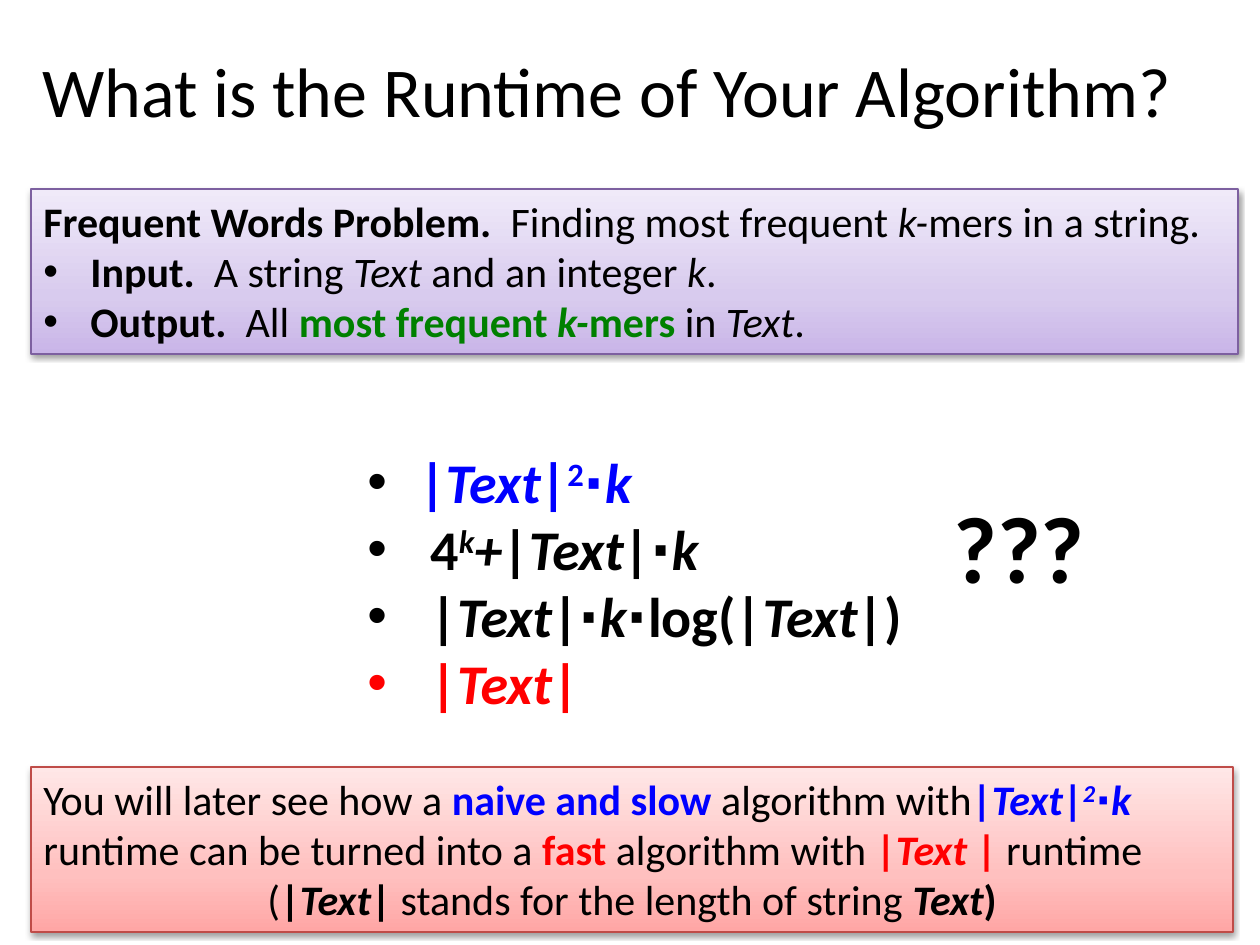
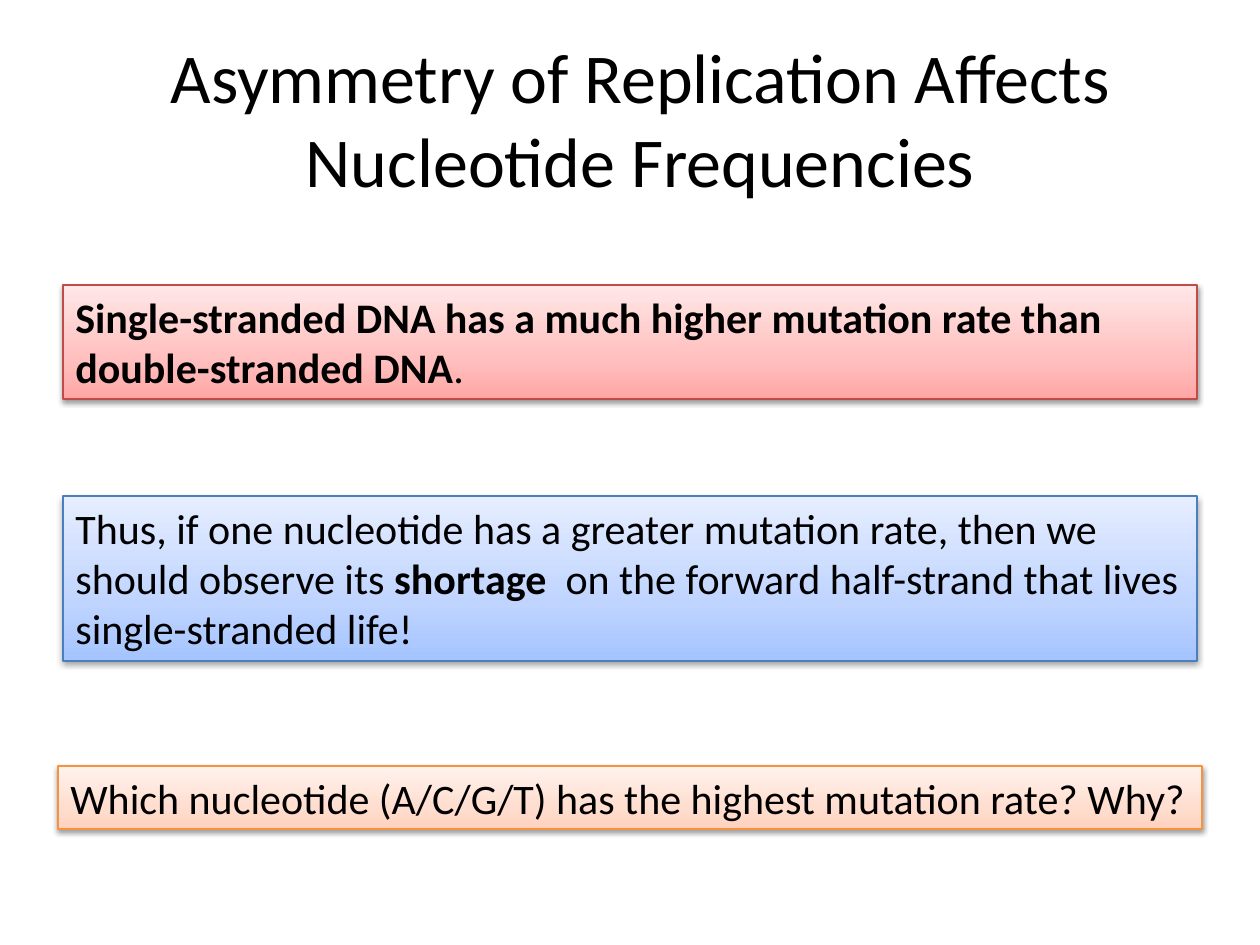
from lxml import etree
from pptx import Presentation
from pptx import util as u
from pptx.dml.color import RGBColor
from pptx.enum import shapes, text
from pptx.oxml import ns, parse_xml

PX_PER_INCH = 126
FONT = "Calibri"
BLACK, BLUE, RED, GREEN = "000000", "0000FF", "FF0000", "008000"
TITLE_SIZE, BODY_SIZE, FORMULA_SIZE, QUESTION_SIZE = 40, 24, 32, 54
INSET = 13
CENTER = text.PP_ALIGN.CENTER

# Border, then gradient from bottom to top
PINK = ("BF4C48", "FFA6A5", "FFC0BF", "FFE7E7")
PURPLE = ("7D60A0", "C9B5E8", "D8CBEE", "F0EAF9")
SKY = ("4B7EBC", "A4C4FF", "BFD4FF", "E6EEFF")
ORANGE = ("F69240", "FFD2BD", "FFDED0", "FFF2ED")
STOPS = (0, 35000, 100000)
SHADOW = (
    f'<a:effectLst {ns.nsdecls("a")}>'
    '<a:outerShdw blurRad="40000" dist="20000" dir="5400000" rotWithShape="0">'
    '<a:srgbClr val="000000"><a:alpha val="38000"/></a:srgbClr>'
    '</a:outerShdw></a:effectLst>'
)


def px(length):
    return u.Inches(length / PX_PER_INCH)


def color(value):
    return RGBColor.from_string(value)


def line(*runs, align=text.PP_ALIGN.LEFT, indent=0):
    """Describe a paragraph; an indent gives it a bullet."""
    return {"runs": runs, "align": align, "indent": indent}


def length_of_text(shade=BLACK, word="Text"):
    """Runs for the bold formula |Text|."""
    return ("|", "b", shade), (word, "bi", shade), ("|", "b", shade)


def add_bullet(paragraph, indent):
    properties = paragraph._p.get_or_add_pPr()
    properties.set("marL", str(px(indent)))
    properties.set("indent", str(-px(indent)))
    font = etree.SubElement(properties, ns.qn("a:buFont"))
    font.set("typeface", "Arial")
    bullet = etree.SubElement(properties, ns.qn("a:buChar"))
    bullet.set("char", "•")


def add_run(paragraph, size, content, style="", shade=BLACK):
    """Style letters: b bold, i italic, ^ superscript."""
    run = paragraph.add_run()
    run.text = content
    values = {"name": FONT, "size": u.Pt(size), "bold": "b" in style, "italic": "i" in style}
    for name, value in values.items():
        setattr(run.font, name, value)
    run.font.color.rgb = color(shade)
    if "^" in style:
        run._r.get_or_add_rPr().set("baseline", "30000")


def write(shape, lines, size, **frame_format):
    frame = shape.text_frame
    values = {
        "word_wrap": True,
        "auto_size": text.MSO_AUTO_SIZE.SHAPE_TO_FIT_TEXT,
        "vertical_anchor": text.MSO_ANCHOR.TOP,
    }
    for name, value in (values | frame_format).items():
        setattr(frame, name, value)
    for index, entry in enumerate(lines):
        paragraph = frame.add_paragraph() if index else frame.paragraphs[0]
        paragraph.alignment = entry["align"]
        if entry["indent"]:
            add_bullet(paragraph, entry["indent"])
        for run in entry["runs"]:
            add_run(paragraph, size, *run)


def add_text(slide, place, lines, size, **frame_format):
    box = slide.shapes.add_textbox(*map(px, place))
    write(box, lines, size, **frame_format)


def add_title(slide, place, title, right_inset=INSET):
    add_text(slide, place, [line((title,), align=CENTER)], TITLE_SIZE,
             auto_size=text.MSO_AUTO_SIZE.NONE,
             vertical_anchor=text.MSO_ANCHOR.MIDDLE,
             margin_right=px(right_inset))


def add_panel(slide, place, palette, lines):
    """Add a shaded box with a soft shadow."""
    border, *shades = palette
    panel = slide.shapes.add_shape(shapes.MSO_SHAPE.RECTANGLE, *map(px, place))
    panel.line.color.rgb = color(border)
    panel.line.width = u.Pt(0.75)
    stops = "".join(
        f'<a:gs pos="{stop}"><a:srgbClr val="{shade}"/></a:gs>'
        for stop, shade in zip(STOPS, shades)
    )
    outline = panel._element.spPr.find(ns.qn("a:ln"))
    outline.addprevious(parse_xml(
        f'<a:gradFill {ns.nsdecls("a")} rotWithShape="1"><a:gsLst>{stops}</a:gsLst>'
        '<a:lin ang="16200000" scaled="0"/></a:gradFill>'))
    outline.addnext(parse_xml(SHADOW))
    write(panel, lines, BODY_SIZE)


def build_runtime_slide(slide):
    add_title(slide, (10, 10, 1228, 158), "What is the Runtime of Your Algorithm?",
              right_inset=47)
    add_text(slide, (355, 441, 587, 285), [
        line((" ",), *length_of_text(BLUE), ("2", "b^", BLUE), ("∙", "b", BLUE),
             ("k", "bi", BLUE), indent=39),
        line(("4", "b"), ("k", "bi^"), ("+", "bi"), *length_of_text(), ("∙k", "bi"),
             indent=63),
        line(*length_of_text(), ("∙k∙", "bi"), ("log(", "b"), *length_of_text(),
             (")", "b"), indent=63),
        line(*length_of_text(RED), indent=63),
    ], FORMULA_SIZE)
    add_text(slide, (941, 483, 158, 127), [line(("???", "b"))], QUESTION_SIZE)
    add_panel(slide, (31, 767, 1202, 165), PINK, [
        line(("You will later see how a ",), ("naive and slow ", "b", BLUE),
             ("algorithm with",), *length_of_text(BLUE), ("2", "bi^", BLUE),
             ("∙k ", "bi", BLUE), ("runtime can be turned into a ",),
             ("fast ", "b", RED), ("algorithm with ",),
             *length_of_text(RED, "Text "), (" runtime",)),
        line(("(",), *length_of_text(), (" stands for the length of string ",),
             ("Text", "bi"), (")", "b"), align=CENTER),
    ])
    add_panel(slide, (31, 189, 1207, 165), PURPLE, [
        line(("Frequent Words Problem.  ", "b"), ("Finding most frequent ",),
             ("k-", "i"), ("mers in a string.",)),
        line(("Input.  ", "b"), ("A string ",), ("Text", "i"), (" and an integer ",),
             ("k", "i"), (".",), indent=47),
        line(("Output.  ", "b"), ("All ",), ("most frequent ", "b", GREEN),
             ("k-", "bi", GREEN), ("mers ", "b", GREEN), ("in ",), ("Text", "i"),
             (".",), indent=47),
    ])


def build_asymmetry_slide(slide):
    add_title(slide, (21, 38, 1239, 158),
              "Asymmetry of Replication Affects Nucleotide Frequencies")
    add_panel(slide, (63, 285, 1134, 114), PINK, [
        line(("Single-stranded DNA has a much higher mutation rate than "
              "double-stranded DNA", "b"), (".",)),
    ])
    add_panel(slide, (63, 496, 1134, 165), SKY, [
        line(("Thus, if one nucleotide has a greater mutation rate, then we should "
              "observe its ",), ("shortage", "b"),
             ("  on the forward half-strand that lives single-stranded life!",)),
    ])
    add_panel(slide, (58, 766, 1144, 63), ORANGE, [
        line(("Which nucleotide (A/C/G/T) has the highest mutation rate? Why?",)),
    ])


def main():
    presentation = Presentation()
    presentation.slide_width, presentation.slide_height = px(1260), px(945)
    blank = presentation.slide_layouts[6]
    for build in (build_runtime_slide, build_asymmetry_slide):
        build(presentation.slides.add_slide(blank))
    presentation.save("out.pptx")


if __name__ == "__main__":
    main()
